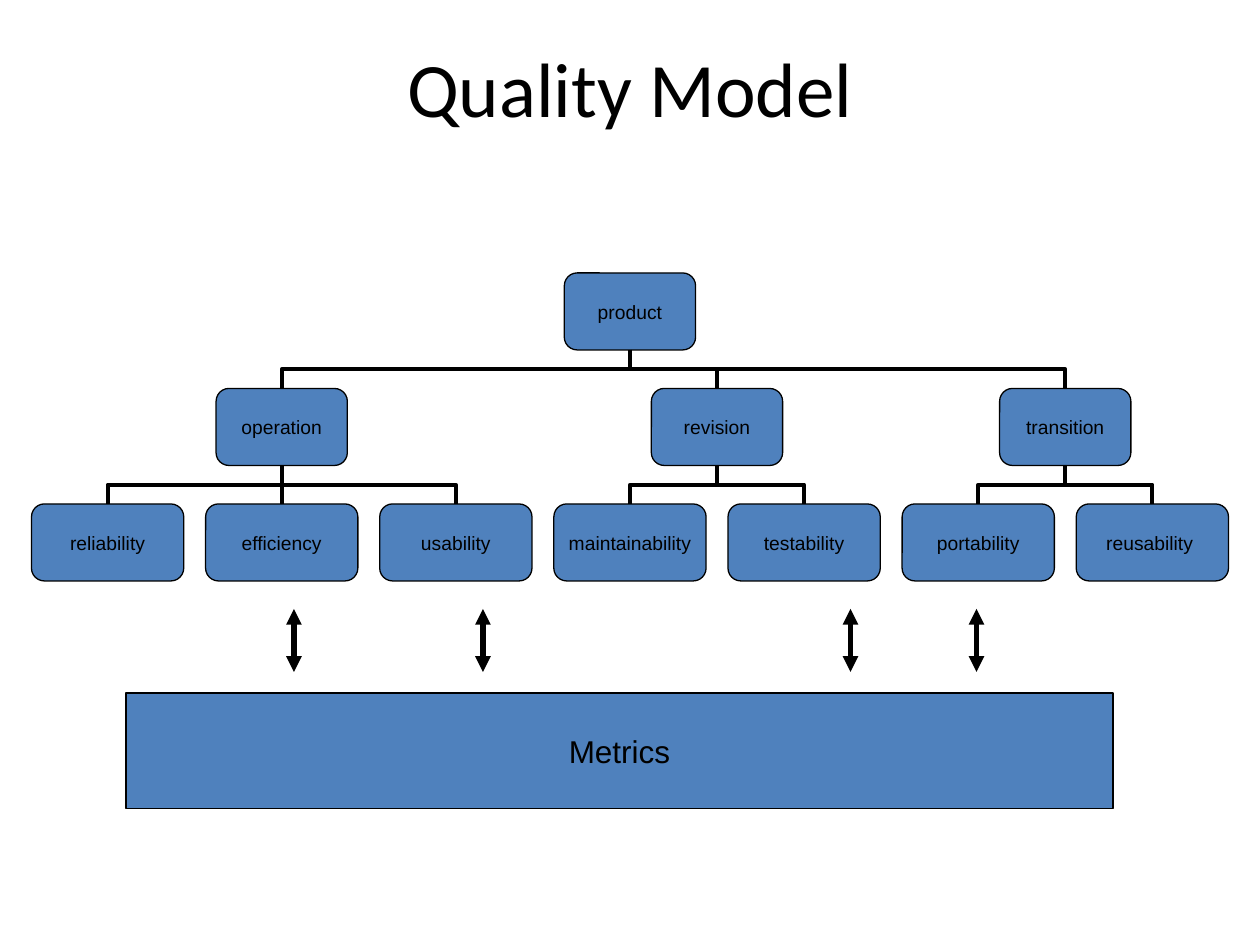
import pptx
import pptx.util
from lxml import etree
from pptx.dml.color import RGBColor
from pptx.enum.shapes import MSO_CONNECTOR, MSO_SHAPE
from pptx.enum.text import MSO_ANCHOR, PP_ALIGN
from pptx.oxml.ns import qn

Pt = pptx.util.Pt
INK = {"black": "000000", "blue": "4F81BD"}
TREE = {
    "operation": ["reliability", "efficiency", "usability"],
    "revision": ["maintainability", "testability"],
    "transition": ["portability", "reusability "],
}
TOP, BOTTOM = 0, 2  # connection sites of a box


def color(name):
    return RGBColor.from_string(INK[name])


def write(shape, text, size=11, font="Arial", ink="black", wrap=False):
    frame = shape.text_frame
    frame.word_wrap = wrap
    frame.vertical_anchor = MSO_ANCHOR.MIDDLE
    para = frame.paragraphs[0]
    para.alignment = PP_ALIGN.CENTER
    run = para.add_run()
    run.text = text
    run.font.size = Pt(size)
    run.font.name = font
    run.font.color.rgb = color(ink)


def add_box(slide, kind, left, top, width, height, text, **style):
    box = slide.shapes.add_shape(kind, Pt(left), Pt(top), Pt(width), Pt(height))
    box.shadow.inherit = False
    box.fill.solid()
    box.fill.fore_color.rgb = color("blue")
    box.line.color.rgb = color("black")
    box.line.width = Pt(0.75)
    write(box, text, **style)
    return box


def add_line(slide, kind, start, end, width):
    line = slide.shapes.add_connector(kind, *start, *end)
    line.line.color.rgb = color("black")
    line.line.width = Pt(width)
    etree.SubElement(line._element.spPr, qn("a:effectLst"))
    return line


def link(slide, parent, child):
    """Join parent to child with an elbow that leaves and arrives vertically."""
    x1, y1 = parent.left + parent.width // 2, parent.top + parent.height
    x2, y2 = child.left + child.width // 2, child.top
    line = add_line(slide, MSO_CONNECTOR.ELBOW, (x1, y1), (x2, y2), 2.25)
    line.begin_connect(parent, BOTTOM)
    line.end_connect(child, TOP)
    # The elbow runs sideways by default, so turn it about its centre.
    wide, high = y2 - y1, abs(x2 - x1)
    line.left, line.top = (x1 + x2 - wide) // 2, (y1 + y2 - high) // 2
    line.width, line.height = wide, high
    xfrm = line._element.spPr.find(qn("a:xfrm"))
    for flip in ("flipH", "flipV"):
        xfrm.attrib.pop(flip, None)
    if x2 > x1:
        xfrm.set("rot", "16200000")
        xfrm.set("flipH", "1")
    else:
        xfrm.set("rot", "5400000")


def add_tree(slide, left, top, width):
    """Place the leaves evenly and centre each factor over its own leaves."""
    count = sum(len(names) for names in TREE.values())
    leaf, node, high, step = 87, 75, 44, 66
    pitch = (width - leaf) / (count - 1)

    def place(text, mid, level, wide):
        box = add_box(slide, MSO_SHAPE.ROUNDED_RECTANGLE, mid - wide / 2,
                      top + level * step, wide, high, text)
        frame = box.text_frame
        frame.margin_left = frame.margin_right = Pt(4.5)
        frame.margin_top = frame.margin_bottom = Pt(2.25)
        return box

    root = place("product", left + width / 2, 0, node)
    index = 0
    for factor, names in TREE.items():
        mids = [left + leaf / 2 + (index + i) * pitch for i in range(len(names))]
        index += len(names)
        branch = place(factor, sum(mids) / len(mids), 1, node)
        link(slide, root, branch)
        for name, mid in zip(names, mids):
            link(slide, branch, place(name, mid, 2, leaf))


def add_metrics(slide, left, top, width, height):
    """Draw the metrics bar and the double arrows above it."""
    add_box(slide, MSO_SHAPE.RECTANGLE, left, top, width, height, "Metrics", size=18)
    for x in (96, 204, 414, 486):
        start, end = (Pt(left + x), Pt(top - 48)), (Pt(left + x), Pt(top - 12))
        arrow = add_line(slide, MSO_CONNECTOR.STRAIGHT, start, end, 3)
        stroke = arrow.line._get_or_add_ln()
        for tip in ("a:headEnd", "a:tailEnd"):
            etree.SubElement(stroke, qn(tip), type="triangle")


def add_title(slide, left, top, width, height):
    title = slide.shapes.title
    title.left, title.top = Pt(left), Pt(top)
    title.width, title.height = Pt(width), Pt(height)
    write(title, "Quality Model", size=44, font="Calibri", wrap=True)


def main():
    deck = pptx.Presentation()
    deck.slide_width, deck.slide_height = Pt(720), Pt(540)
    slide = deck.slides.add_slide(deck.slide_layouts[5])
    add_title(slide, 36, 21.6, 648, 56)
    add_tree(slide, 18, 156, 684)
    add_metrics(slide, 72, 396, 564, 66)
    deck.save("out.pptx")


if __name__ == "__main__":
    main()
